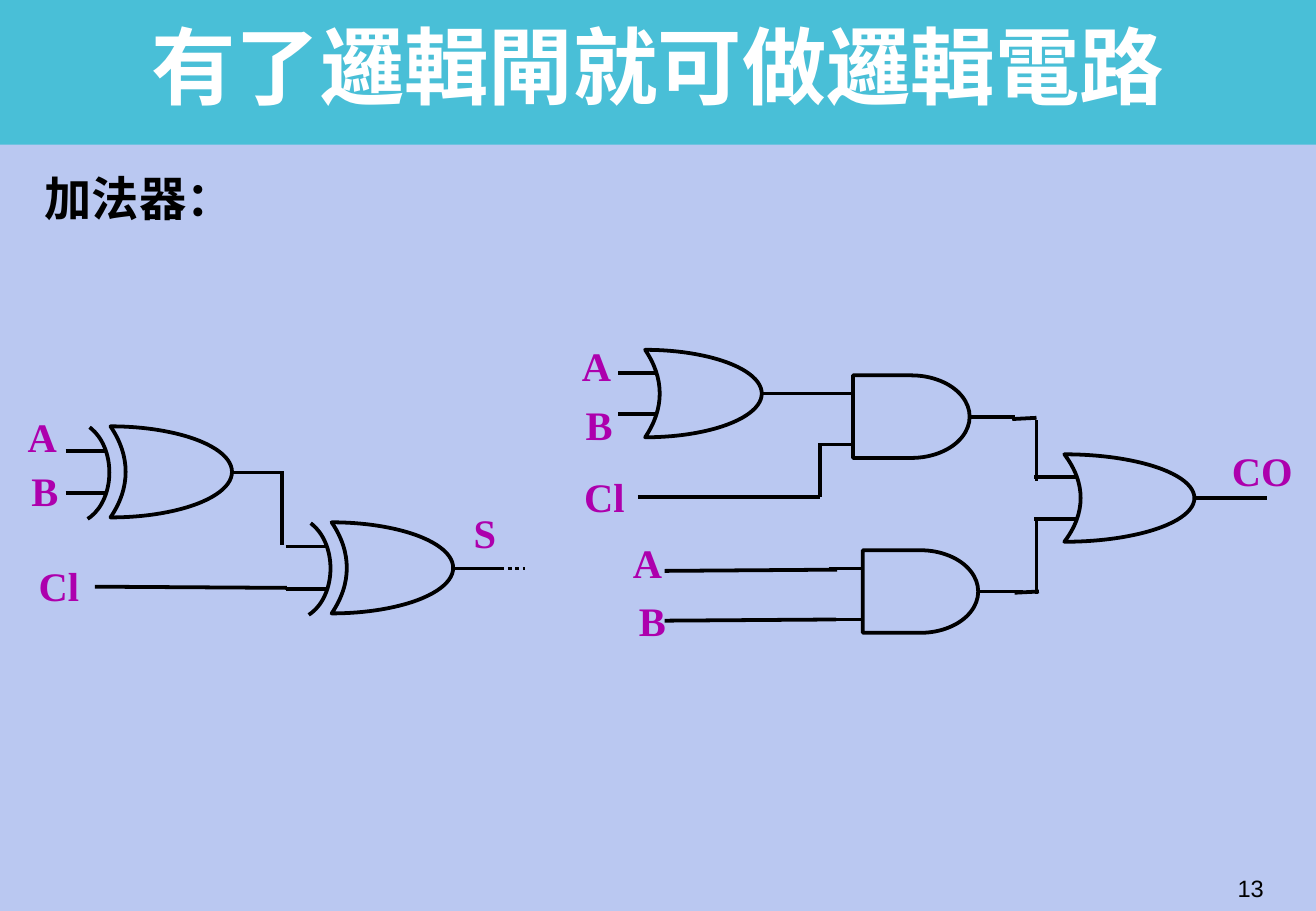
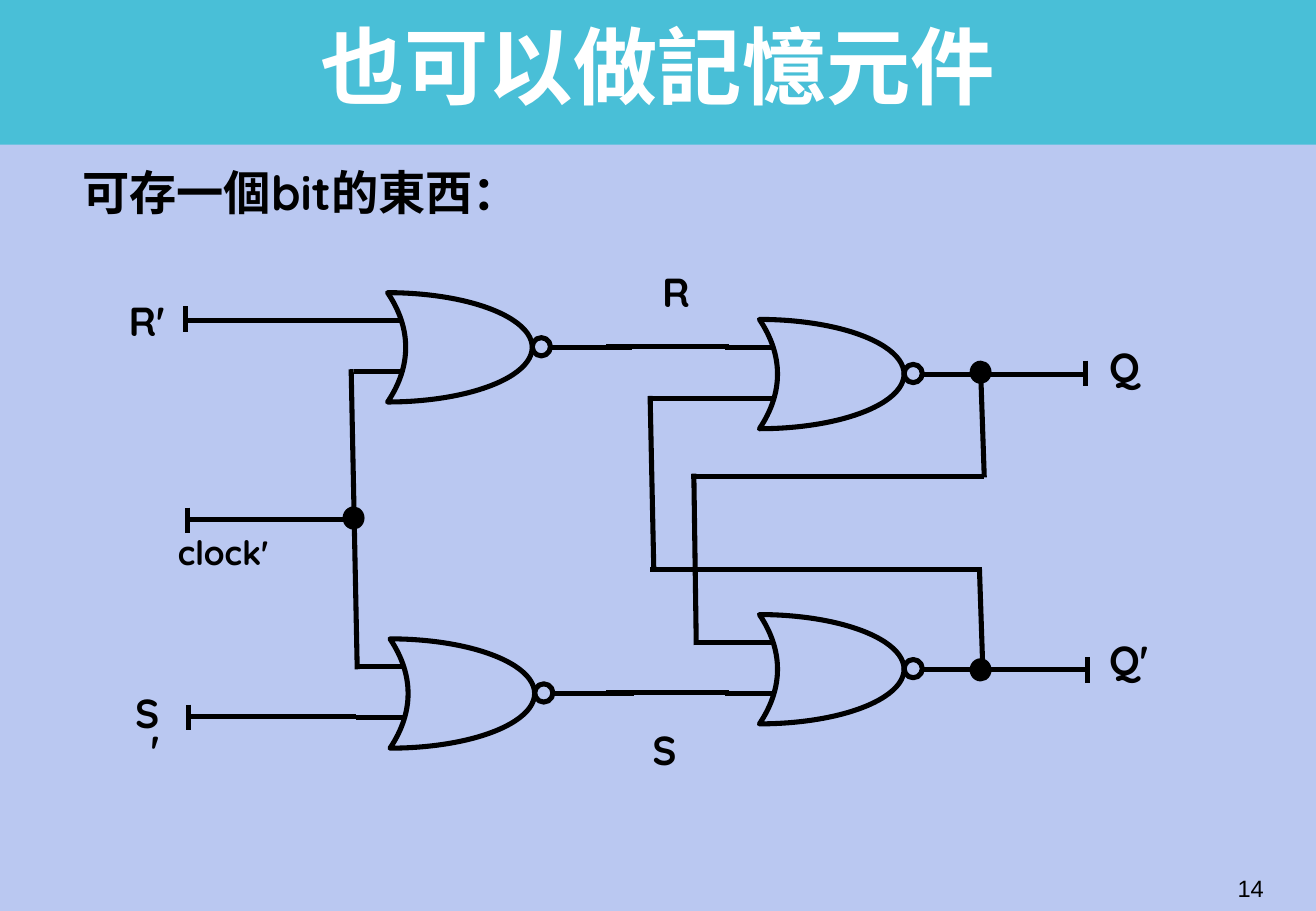
from dataclasses import dataclass

from lxml.etree import SubElement
from pptx import Presentation
from pptx.dml.color import RGBColor
from pptx.enum.dml import MSO_LINE
from pptx.enum.shapes import MSO_CONNECTOR, MSO_SHAPE
from pptx.enum.text import MSO_ANCHOR, PP_ALIGN
from pptx.oxml.ns import qn
from pptx.util import Emu, Pt

SKY = RGBColor(0xBA, 0xC8, 0xF1)
TEAL = RGBColor(0x49, 0xBF, 0xD7)
WHITE = RGBColor(0xFF, 0xFF, 0xFF)
BLACK = RGBColor(0, 0, 0)
PLUM = RGBColor(0xAD, 0x00, 0xAD)

SANS, SERIF, PLAIN = "Quicksand", "Times New Roman", "Arial"
WIDE, HIGH = 1083, 750
BUBBLE = 15
THIN, THICK = 2.25, 3


@dataclass
class Kind:
    """A gate type; pins are input heights, dip is how far inputs reach in."""
    form: MSO_SHAPE
    high: int
    pins: tuple
    dip: int
    pen: float = THIN
    arc: bool = False
    bubble: bool = False


OR = Kind(MSO_SHAPE.MOON, 72, (19, 53), 10)
XOR = Kind(MSO_SHAPE.MOON, 75, (20, 55), -4, arc=True)
AND = Kind(MSO_SHAPE.FLOWCHART_DELAY, 68, (15, 57), 0)
NOR = Kind(MSO_SHAPE.MOON, 90, (23, 65), 11, THICK, bubble=True)


def px(*nums):
    """Turn px (100 to the inch) into EMU."""
    return [Emu(n * 9144) for n in nums]


def shape(shapes, form, box, fill=None, pen=None):
    item = shapes.add_shape(form, *px(*box))
    item.shadow.inherit = False
    if fill is None:
        item.fill.background()
    else:
        item.fill.solid()
        item.fill.fore_color.rgb = fill
    if pen is None:
        item.line.fill.background()
    else:
        item.line.color.rgb = BLACK
        item.line.width = Pt(pen)
    return item


def wire(shapes, ends, pen, dash=None):
    line = shapes.add_connector(MSO_CONNECTOR.STRAIGHT, *px(*ends))
    line.line.color.rgb = BLACK
    line.line.width = Pt(pen)
    if dash:
        line.line.dash_style = dash
    SubElement(line.element.spPr, qn("a:effectLst"))
    return line


def text(slide, words, box, size, font=SANS, color=BLACK, bold=True,
         align=PP_ALIGN.LEFT, anchor=MSO_ANCHOR.TOP, pad=(10, 5)):
    """Add a one-line text box and return its paragraph."""
    frame = slide.shapes.add_textbox(*px(*box)).text_frame
    frame.word_wrap = True
    frame.vertical_anchor = anchor
    frame.margin_left = frame.margin_right = px(pad[0])[0]
    frame.margin_top = frame.margin_bottom = px(pad[1])[0]
    para = frame.paragraphs[0]
    para.alignment = align
    run = para.add_run()
    run.text = words
    run.font.name = font
    run.font.size = Pt(size)
    run.font.bold = bold
    run.font.color.rgb = color
    return para


def gate(slide, kind, x, y, wide, lead, tail):
    """Group a gate with inputs starting lead px left and output tail px long."""
    shapes = slide.shapes.add_group_shape().shapes
    body = shape(shapes, kind.form, (x, y, wide, kind.high), pen=kind.pen)
    curved = kind.form == MSO_SHAPE.MOON
    if curved:
        body.adjustments[0] = 0.875
        body.element.spPr.find(qn("a:xfrm")).set("flipH", "1")
    for pin in kind.pins:
        wire(shapes, (x - lead, y + pin, x + kind.dip, y + pin), kind.pen)
    if kind.arc:
        arc = shape(shapes, MSO_SHAPE.ARC, (x - 62, y - 4, 61, 84), pen=kind.pen)
        for i, angle in enumerate((290.9, 71.8)):
            arc.adjustments[i] = angle * 0.6
    right, mid = x + wide, y + (kind.high + 1) // 2
    if kind.bubble:
        shape(shapes, MSO_SHAPE.OVAL, (right, mid - 8, BUBBLE, BUBBLE), pen=kind.pen)
        right += BUBBLE
    out = wire(shapes, (right, mid, right + tail, mid), kind.pen)
    if not curved:
        out.begin_connect(body, 3)


def begin(deck, title, lead, box, number):
    """Add a slide with its band, title, lead line and page number."""
    slide = deck.slides.add_slide(deck.slide_layouts[6])
    shape(slide.shapes, MSO_SHAPE.RECTANGLE, (0, 0, WIDE, 119), TEAL)
    text(slide, title, (81, 14, 921, 79), 50, color=WHITE,
         align=PP_ALIGN.CENTER, anchor=MSO_ANCHOR.MIDDLE)
    para = text(slide, lead, box, 28)
    para.line_spacing = 0.9
    para.space_before = Pt(4)
    text(slide, number, (824, 706, 226, 50), 14, PLAIN, bold=False,
         align=PP_ALIGN.RIGHT, anchor=MSO_ANCHOR.MIDDLE)
    return slide


def adder(deck):
    slide = begin(deck, "有了邏輯閘就可做邏輯電路", "加法器：",
                  (27, 140, 250, 112), "13")
    for spot in (
        (XOR, 91, 351, 100, 37, 40), (XOR, 273, 430, 100, 38, 40),
        (OR, 531, 288, 96, 22, 54), (OR, 876, 374, 107, 25, 60),
        (AND, 702, 309, 96, 28, 37), (AND, 710, 453, 95, 28, 37),
    ):
        gate(slide, *spot)
    for ends in (
        (232, 388, 232, 449), (78, 483, 236, 484),
        (547, 470, 689, 469), (547, 511, 688, 510),
        (525, 409, 675, 409), (675, 365, 675, 409),
        (853, 346, 853, 396), (853, 427, 853, 489),
        (833, 345, 853, 344), (835, 488, 855, 487),
    ):
        wire(slide.shapes, ends, THIN)
    wire(slide.shapes, (393, 468, 432, 468), THIN, MSO_LINE.ROUND_DOT)
    for words, x, y, wide in (
        ("A", 13, 334, 33), ("B", 16, 379, 31), ("Cl", 22, 457, 67),
        ("S", 380, 413, 41), ("A", 469, 276, 33), ("B", 472, 324, 31),
        ("Cl", 471, 384, 67), ("A", 511, 438, 33), ("B", 516, 486, 31),
        ("CO", 1004, 362, 80),
    ):
        text(slide, words, (x, y, wide, 51), 24, SERIF, PLUM)


def latch(deck):
    slide = begin(deck, "也可以做記憶元件", "可存一個bit的東西：",
                  (58, 135, 605, 62), "14")
    for x, y in ((319, 241), (321, 526), (625, 263), (625, 506)):
        gate(slide, NOR, x, y, 119, 28, 67)
    for ends in (
        (153, 264, 291, 264), (155, 590, 293, 590), (154, 428, 292, 428),
        (289, 304, 294, 551), (499, 285, 600, 285), (499, 570, 600, 570),
        (805, 308, 893, 308), (815, 551, 896, 551),
        (807, 304, 810, 393), (569, 392, 810, 392),
        (571, 390, 573, 531), (573, 529, 615, 529),
        (806, 467, 809, 556), (535, 469, 807, 469),
        (535, 326, 538, 467), (535, 328, 611, 328),
    ):
        wire(slide.shapes, ends, THICK)
    for x, y in ((153, 252), (154, 418), (155, 580), (893, 297), (895, 541)):
        wire(slide.shapes, (x, y, x, y + 21), THICK)
    for x, y in ((283, 418), (799, 298), (799, 543)):
        shape(slide.shapes, MSO_SHAPE.OVAL, (x, y, 16, 17), BLACK, 1.5)
    for words, x, y, wide in (
        ("R'", 96, 239, 57), ("R", 535, 215, 38), ("S", 527, 592, 55),
        ("Q", 903, 277, 94), ("Q'", 903, 518, 94),
    ):
        text(slide, words, (x, y, wide, 51), 24)
    for words, box, size, pad in (
        ("clock'", (28, 438, 195, 123), 20, (2, 3)),
        ("S'", (96, 571, 45, 41), 24, (10, 5)),
    ):
        para = text(slide, words, box, size, align=PP_ALIGN.RIGHT, pad=pad)
        para.line_spacing = Pt(22)
        para.space_after = Pt(20)


def main():
    deck = Presentation()
    deck.slide_width, deck.slide_height = px(WIDE, HIGH)
    fill = deck.slide_master.background.fill
    fill.solid()
    fill.fore_color.rgb = SKY
    adder(deck)
    latch(deck)
    deck.save("out.pptx")


if __name__ == "__main__":
    main()
